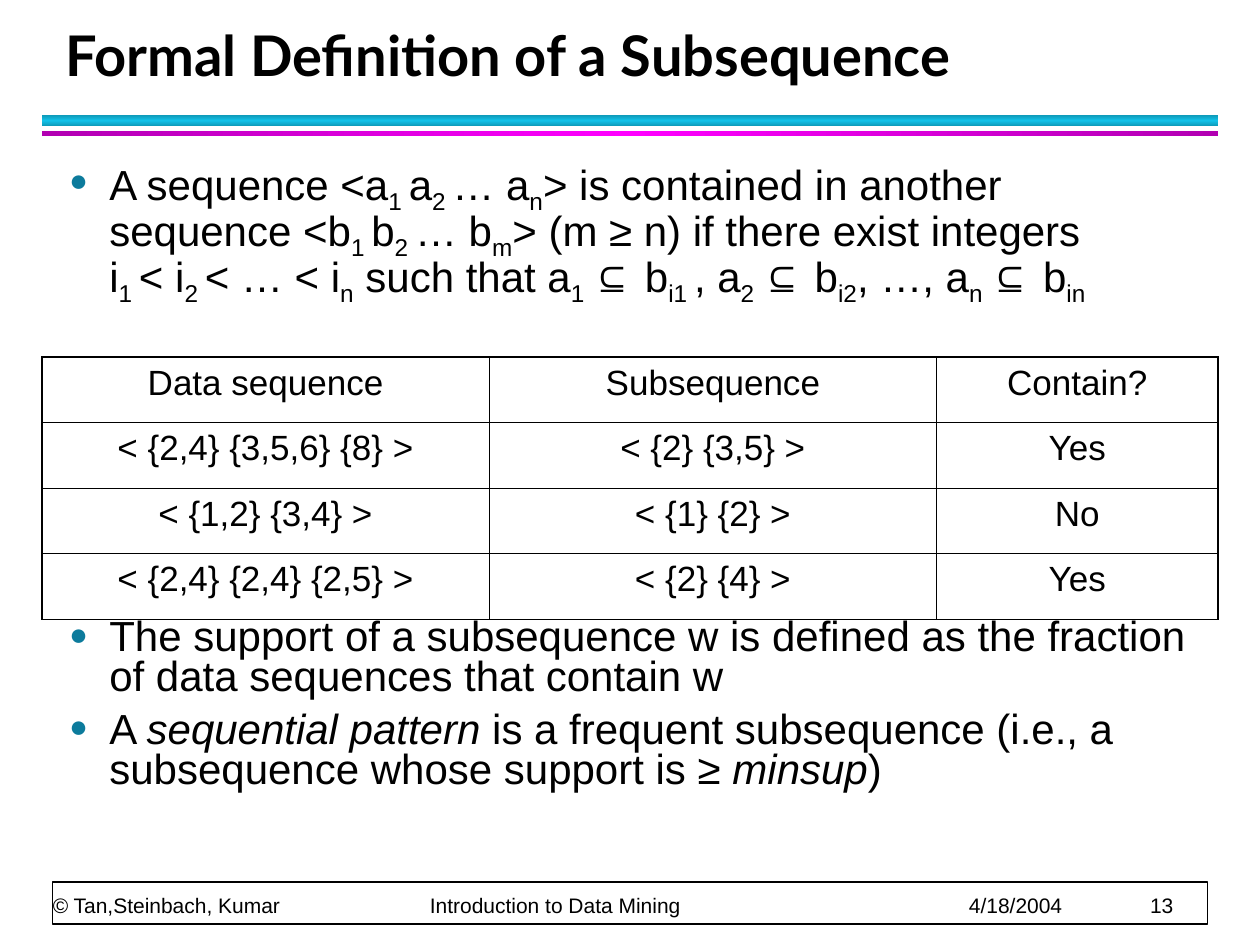
import pptx
import pptx.util
import pptx.dml.color
import pptx.enum.shapes
import pptx.enum.text
import pptx.oxml
import pptx.oxml.ns

Pt = pptx.util.Pt
RGBColor = pptx.dml.color.RGBColor
ANCHOR = pptx.enum.text.MSO_ANCHOR
ALIGN = pptx.enum.text.PP_ALIGN
RECTANGLE = pptx.enum.shapes.MSO_SHAPE.RECTANGLE
NAMESPACE = pptx.oxml.ns.nsdecls("a")

BLACK = RGBColor(0x00, 0x00, 0x00)
WHITE = RGBColor(0xFF, 0xFF, 0xFF)
TEAL = RGBColor(0x0C, 0x7B, 0x9C)
CYAN = RGBColor(0x12, 0xC2, 0xE9)
DARK_CYAN = RGBColor(0x0E, 0x9B, 0xBA)
MAGENTA = RGBColor(0xFF, 0x00, 0xFF)
DARK_MAGENTA = RGBColor(0xB2, 0x00, 0xB2)

TITLE = "Formal Definition of a Subsequence"
# Every second piece between bars takes the named style.
BULLETS = [
    ("subscript", 0,
     "A sequence <a|1 |a|2 |… a|n|> is contained in another sequence <b|1 |b|2 |… b|m|"
     "> (m ≥ n) if there exist integers \vi|1 |< i|2 |< … < i|n| such that a|1 |⊆ b|i1 |"
     ", a|2 |⊆ b|i2|, …, a|n |⊆ b|in"),
    ("plain", 177.5,
     "The support of a subsequence w is defined as the fraction "
     "of data sequences that contain w"),
    ("italic", 3,
     "A |sequential pattern| is a frequent subsequence (i.e., a subsequence "
     "whose support is ≥ |minsup|)"),
]
ROWS = [
    ("Data sequence", "Subsequence", "Contain?"),
    ("< {2,4} {3,5,6} {8} >", "< {2} {3,5} >", "Yes"),
    ("< {1,2} {3,4} >", "< {1} {2} >", "No"),
    ("< {2,4} {2,4} {2,5} >", "< {2} {4} >", "Yes"),
]
COLUMN_WIDTHS = [255.6, 255.6, 160.8]
ROW_HEIGHT = 37.5
FOOTER = ["© Tan,Steinbach, Kumar", "Introduction to Data Mining", "4/18/2004", "13"]
FOOTER_TABS = [215.5, 523.5, 627]
RULES = [
    (66, 6, DARK_CYAN, CYAN, 90),
    (74.9, 2.9, DARK_MAGENTA, MAGENTA, 180),
]


def element(text):
    return pptx.oxml.parse_xml(text.replace(" ", f" {NAMESPACE} ", 1))


def add_rectangle(page, left, top, width, height):
    box = page.shapes.add_shape(RECTANGLE, Pt(left), Pt(top), Pt(width), Pt(height))
    box.shadow.inherit = False
    return box


def add_rule(page, top, height, edge, middle, angle):
    box = add_rectangle(page, 24, top, 672, height)
    stops = "".join(
        f'<a:gs pos="{place * 1000}"><a:srgbClr val="{color}"/></a:gs>'
        for place, color in ((0, edge), (50, middle), (100, edge)))
    box._element.spPr.insert(2, element(
        f'<a:gradFill rotWithShape="1"><a:gsLst>{stops}</a:gsLst>'
        f'<a:lin ang="{angle * 60000}" scaled="0"/></a:gradFill>'))
    box.line.fill.background()


def style_font(paragraph, size, name="Arial", bold=False):
    font = paragraph.font
    font.size, font.name, font.bold = Pt(size), name, bold
    font.color.rgb = BLACK


def add_footer(page):
    frame = add_rectangle(page, 30, 504, 660, 24)
    frame.fill.solid()
    frame.fill.fore_color.rgb = WHITE
    frame.line.color.rgb = BLACK
    frame.line.width = Pt(1)
    box = page.shapes.add_textbox(Pt(30.2), Pt(484), Pt(659), Pt(40.2))
    text = box.text_frame
    text.word_wrap = True
    text.vertical_anchor = ANCHOR.BOTTOM
    text.margin_left = text.margin_right = text.margin_top = text.margin_bottom = 0
    paragraph = text.paragraphs[0]
    paragraph.text = "\t".join(FOOTER)
    paragraph.line_spacing = Pt(20)
    tabs = "".join(f'<a:tab pos="{Pt(place)}" algn="l"/>' for place in FOOTER_TABS)
    paragraph._p.get_or_add_pPr().append(
        pptx.oxml.parse_xml(f"<a:tabLst {NAMESPACE}>{tabs}</a:tabLst>"))
    style_font(paragraph, 12)


def add_title(page):
    box = page.shapes.title
    box.left, box.top, box.width, box.height = Pt(30), Pt(12), Pt(652), Pt(42)
    text = box.text_frame
    text.text = TITLE
    text.auto_size = pptx.enum.text.MSO_AUTO_SIZE.NONE
    text.vertical_anchor = ANCHOR.BOTTOM
    paragraph = text.paragraphs[0]
    paragraph.alignment = ALIGN.LEFT
    paragraph.line_spacing = Pt(36)
    style_font(paragraph, 32, "Lato", True)


def add_bullets(page):
    text = page.shapes.add_textbox(Pt(32.4), Pt(90), Pt(655), Pt(408)).text_frame
    text.word_wrap = True
    for number, (style, before, words) in enumerate(BULLETS):
        paragraph = text.add_paragraph() if number else text.paragraphs[0]
        paragraph.line_spacing = 0.8
        paragraph.space_before = Pt(before)
        paragraph.space_after = Pt(4)
        properties = paragraph._p.get_or_add_pPr()
        properties.set("marL", str(Pt(23)))
        properties.set("indent", str(-Pt(23)))
        for part in (f'<a:buClr ><a:srgbClr val="{TEAL}"/></a:buClr>',
                     '<a:buSzPct val="75000"/>',
                     '<a:buFont typeface="Arial"/>',
                     '<a:buChar char="●"/>'):
            properties.append(element(part))
        style_font(paragraph, 24)
        for index, piece in enumerate(words.split("|")):
            for position, line in enumerate(piece.split("\v")):
                if position:
                    paragraph.add_line_break()
                span = paragraph.add_run()
                span.text = line
                if index % 2 and style == "subscript":
                    span.font._element.set("baseline", "-25000")
                elif index % 2:
                    span.font.italic = True


def add_borders(cell, row, column):
    outer = {"L": column == 0, "R": column == len(COLUMN_WIDTHS) - 1,
             "T": row == 0, "B": row == len(ROWS) - 1}
    properties = cell._tc.get_or_add_tcPr()
    for index, (side, heavy) in enumerate(outer.items()):
        width = Pt(1.08 if heavy else 0.45)
        properties.insert(index, element(
            f'<a:ln{side} w="{width}"><a:solidFill><a:srgbClr val="{BLACK}"/>'
            f'</a:solidFill></a:ln{side}>'))


def add_examples(page):
    table = page.shapes.add_table(
        len(ROWS), len(COLUMN_WIDTHS), Pt(24), Pt(204),
        Pt(sum(COLUMN_WIDTHS)), Pt(ROW_HEIGHT * len(ROWS))).table
    for column, width in zip(table.columns, COLUMN_WIDTHS):
        column.width = Pt(width)
    for row, words in enumerate(ROWS):
        table.rows[row].height = Pt(ROW_HEIGHT)
        for column, word in enumerate(words):
            cell = table.cell(row, column)
            cell.fill.background()
            add_borders(cell, row, column)
            paragraph = cell.text_frame.paragraphs[0]
            paragraph.text = word
            paragraph.alignment = ALIGN.CENTER
            paragraph.space_after = Pt(4)
            style_font(paragraph, 20)


def main():
    deck = pptx.Presentation()
    deck.slide_width, deck.slide_height = Pt(720), Pt(540)
    page = deck.slides.add_slide(deck.slide_layouts[5])
    for rule in RULES:
        add_rule(page, *rule)
    add_footer(page)
    add_title(page)
    add_bullets(page)
    add_examples(page)
    deck.save("out.pptx")


if __name__ == "__main__":
    main()
